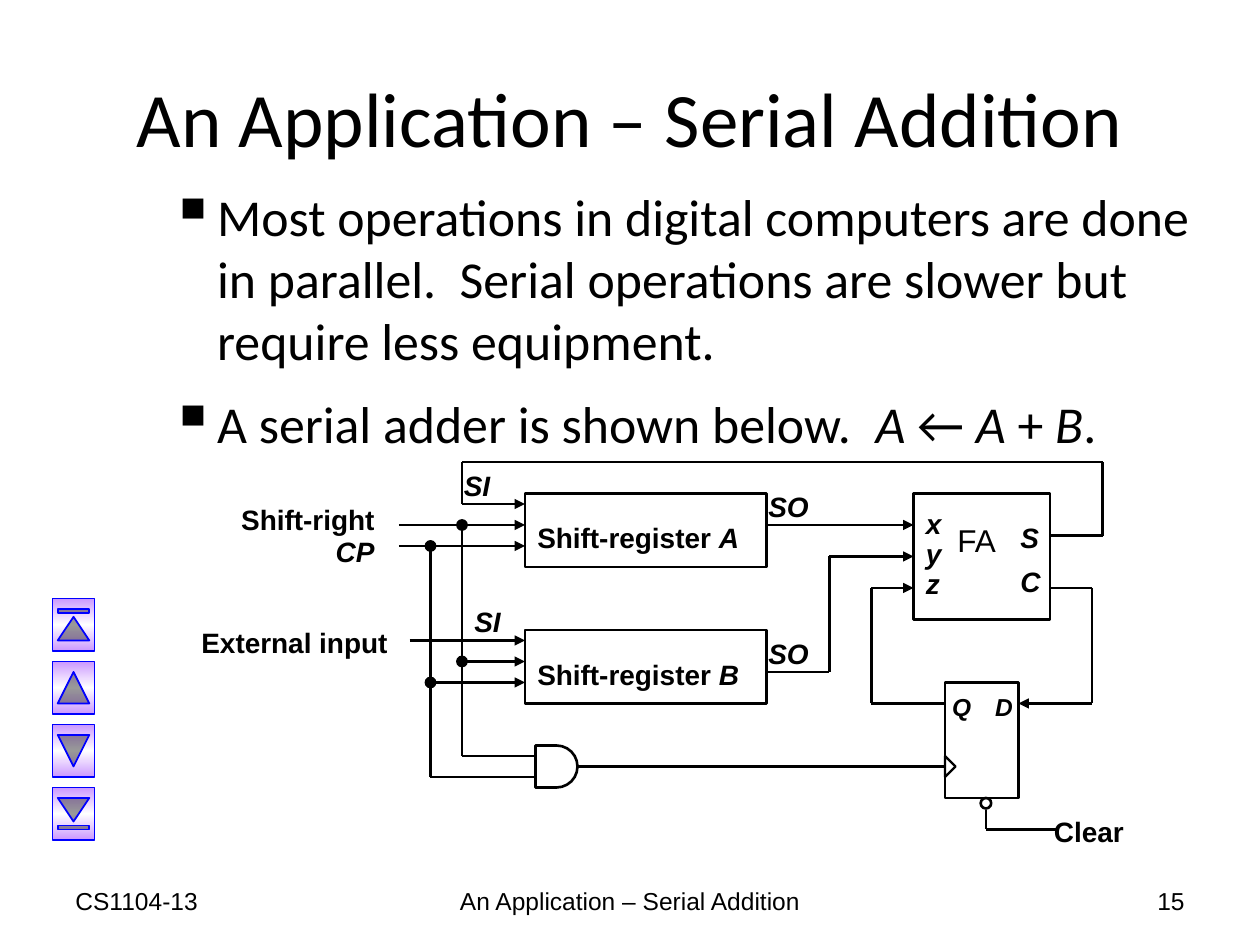
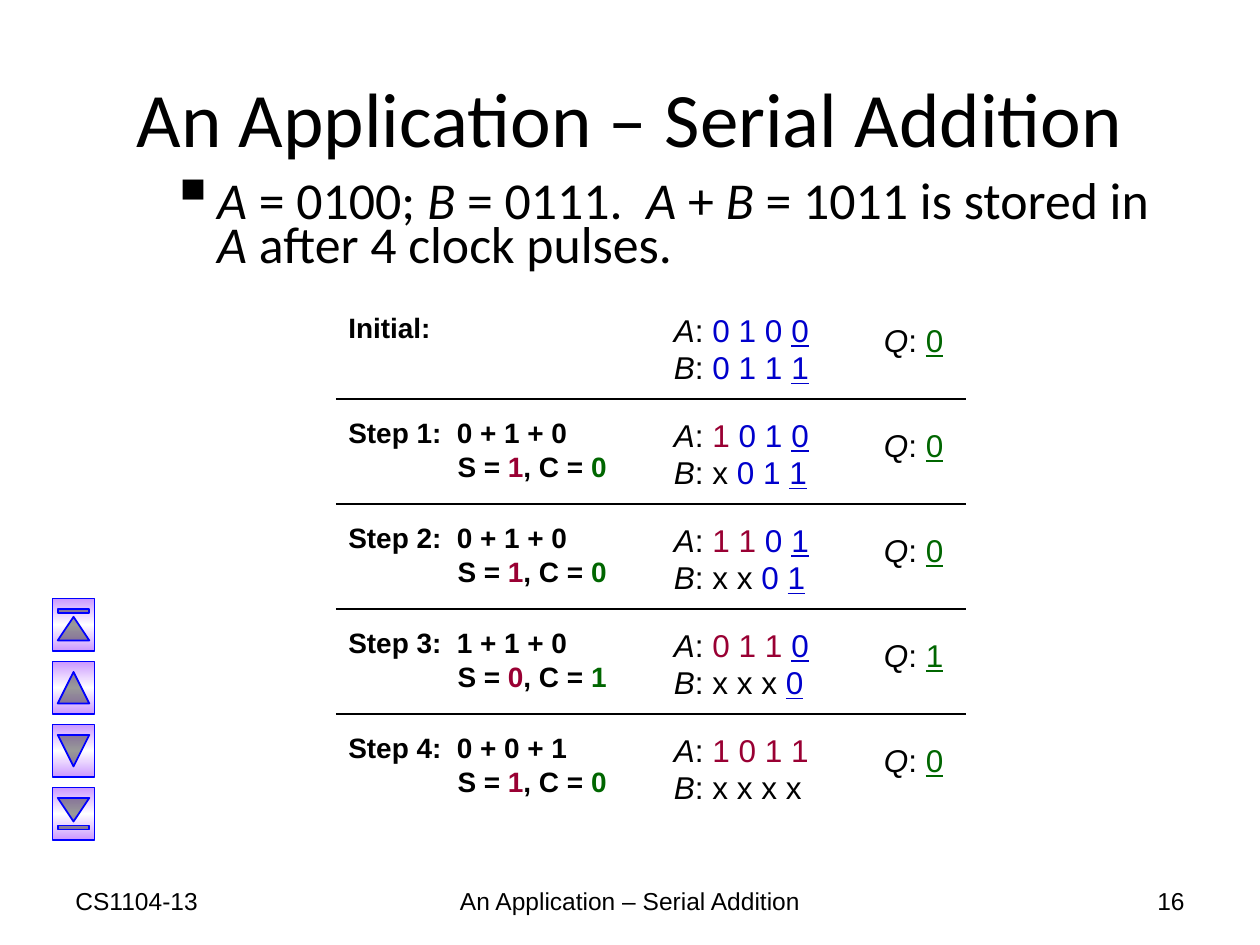
from dataclasses import dataclass
from itertools import pairwise
from typing import NamedTuple, Optional, Union

from lxml import etree
from pptx import Presentation
from pptx import util as u
from pptx.dml.color import RGBColor
from pptx.enum import shapes, text
from pptx.oxml import ns
from pptx.shapes import autoshape, connector, shapetree
from pptx.slide import Slide

EMU_PER_PX = 7620  # 120 px to the inch
Canvas = Union[shapetree.SlideShapes, shapetree.GroupShapes]
Point = tuple[int, int]
Kind = shapes.MSO_SHAPE
Align = text.PP_ALIGN


@dataclass(frozen=True)
class Theme:
    black: str = "000000"
    old_bit: str = "0000CC"
    sum_bit: str = "990033"
    carry_bit: str = "006600"
    button_edge: str = "0000FF"
    button_tint: str = "CC99FF"
    button_glow: str = "FFFFFF"
    heading_font: str = "Calibri"
    label_font: str = "Arial"
    title_size: float = 44
    body_size: float = 29.6
    value_size: float = 18
    label_size: float = 16
    small_size: float = 14
    outline: float = 1.5
    wire: float = 1.25
    thin: float = 0.75


THEME = Theme()
COURSE = "CS1104-13"
TOPIC = "An Application – Serial Addition"


class Box(NamedTuple):
    left: int
    top: int
    width: int
    height: int


class Run(NamedTuple):
    text: str
    color: str = THEME.black
    italic: bool = False
    underline: bool = False


class Label(NamedTuple):
    text: str
    box: Box
    size: float = THEME.label_size
    bold: bool = True
    line_spacing: Optional[float] = None
    space_before: float = 0


class Wire(NamedTuple):
    points: list[Point]
    arrow: bool = True
    begin: str = ""
    end: str = ""


# ---------- Drawing helpers ----------
def px(length: int) -> u.Emu:
    return u.Emu(length * EMU_PER_PX)


def add_xml(parent, tag: str, **attributes: str):
    return etree.SubElement(parent, ns.qn(tag), attributes)


def marked(line: str) -> list[Run]:
    """Split a line into runs; *asterisks* enclose italics."""
    parts = enumerate(line.split("*"))
    return [Run(part, italic=index % 2 == 1) for index, part in parts if part]


def add_text(canvas: Canvas, content: Union[str, list[list[Run]]], box: Box, *,
             size: float, font: str = THEME.label_font, bold: bool = False,
             align: Align = Align.LEFT, middle: bool = False, bullet: bool = False,
             line_spacing: Optional[float] = None, space_before: float = 0,
             later_indent: int = 0) -> None:
    lines = content
    if isinstance(content, str):
        lines = [marked(line) for line in content.split("\n")]
    frame = canvas.add_textbox(*map(px, box)).text_frame
    frame.word_wrap = True
    frame.vertical_anchor = text.MSO_ANCHOR.MIDDLE if middle else text.MSO_ANCHOR.TOP
    for index, line in enumerate(lines):
        paragraph = frame.add_paragraph() if index else frame.paragraphs[0]
        properties = paragraph._p.get_or_add_pPr()
        if bullet:
            properties.set("marL", str(px(45)))
            properties.set("indent", str(-px(45)))
            add_xml(properties, "a:buSzPct", val="120000")
            add_xml(properties, "a:buChar", char="▪")
        elif index and later_indent:
            properties.set("marL", str(px(later_indent)))
        paragraph.alignment = align
        if line_spacing:
            paragraph.line_spacing = line_spacing
        if index and space_before:
            paragraph.space_before = u.Pt(space_before)
        for piece in line:
            run = paragraph.add_run()
            run.text = piece.text
            run.font.name, run.font.size, run.font.bold = font, u.Pt(size), bold
            run.font.italic = piece.italic
            run.font.underline = piece.underline
            run.font.color.rgb = RGBColor.from_string(piece.color)


def add_outline(canvas: Canvas, kind: Kind, box: Box, width: float = THEME.outline,
                color: str = THEME.black, fill: str = "",
                rotation: int = 0) -> autoshape.Shape:
    shape = canvas.add_shape(kind, *map(px, box))
    shape.shadow.inherit = False
    shape.rotation = rotation
    shape.line.width = u.Pt(width)
    shape.line.color.rgb = RGBColor.from_string(color)
    if fill:
        shape.fill.solid()
        shape.fill.fore_color.rgb = RGBColor.from_string(fill)
    else:
        shape.fill.background()
    return shape


def add_line(canvas: Canvas, start: Point, finish: Point,
             arrow: bool = False) -> connector.Connector:
    line = canvas.add_connector(shapes.MSO_CONNECTOR.STRAIGHT,
                                *map(px, (*start, *finish)))
    line.line.width = u.Pt(THEME.wire)
    line.line.color.rgb = RGBColor.from_string(THEME.black)
    if arrow:
        add_xml(line.line._get_or_add_ln(), "a:tailEnd", type="triangle")
    add_xml(line.element.spPr, "a:effectLst")
    return line


# ---------- Parts shared by both slides ----------
NAVIGATION = [Kind.ACTION_BUTTON_BEGINNING, Kind.ACTION_BUTTON_BACK_OR_PREVIOUS,
              Kind.ACTION_BUTTON_FORWARD_OR_NEXT, Kind.ACTION_BUTTON_END]


def add_button(canvas: Canvas, kind: Kind, box: Box) -> None:
    button = add_outline(canvas, kind, box, 1, THEME.button_edge, rotation=90)
    properties = button.element.spPr
    empty_fill = properties.find(ns.qn("a:noFill"))
    gradient = etree.Element(ns.qn("a:gradFill"), rotWithShape="0")
    stops = add_xml(gradient, "a:gsLst")
    tints = (THEME.button_tint, THEME.button_glow, THEME.button_tint)
    for index, tint in enumerate(tints):
        stop = add_xml(stops, "a:gs", pos=str(index * 50000))
        add_xml(stop, "a:srgbClr", val=tint)
    add_xml(gradient, "a:lin", ang="5400000", scaled="1")
    properties.replace(empty_fill, gradient)


def add_base_slide(presentation, number: int) -> Slide:
    slide = presentation.slides.add_slide(presentation.slide_layouts[6])
    footers = [(COURSE, 60, 280, Align.LEFT), (TOPIC, 410, 380, Align.CENTER),
               (str(number), 860, 280, Align.RIGHT)]
    for words, left, width, align in footers:
        add_text(slide.shapes, words, Box(left, 834, width, 48),
                 size=THEME.small_size, align=align, middle=True)
    add_text(slide.shapes, TOPIC, Box(60, 36, 1080, 150), size=THEME.title_size,
             font=THEME.heading_font, align=Align.CENTER, middle=True)
    for index, kind in enumerate(NAVIGATION):
        add_button(slide.shapes, kind, Box(45, 575 + 60 * index, 50, 40))
    return slide


# ---------- Serial adder circuit ----------
BLOCKS = {
    "full adder": (Kind.RECTANGLE, Box(870, 470, 130, 120)),
    "register A": (Kind.RECTANGLE, Box(500, 470, 230, 70)),
    "register B": (Kind.RECTANGLE, Box(500, 600, 230, 70)),
    "flip-flop": (Kind.RECTANGLE, Box(900, 650, 70, 110)),
    "gate": (Kind.FLOWCHART_DELAY, Box(510, 710, 40, 40)),
    "clear bubble": (Kind.OVAL, Box(934, 760, 10, 10)),
}
WIRES = [
    Wire([(1000, 510), (1050, 510), (1050, 440), (440, 440), (440, 480), (500, 480)]),
    Wire([(380, 500), (500, 500)]),
    Wire([(380, 520), (500, 520)]),
    Wire([(390, 610), (500, 610)]),
    Wire([(440, 630), (500, 630)]),
    Wire([(410, 650), (500, 650)]),
    Wire([(730, 500), (870, 500)]),
    Wire([(730, 640), (790, 640), (790, 530), (870, 530)], end="full adder"),
    Wire([(900, 670), (830, 670), (830, 560), (870, 560)]),
    Wire([(1000, 560), (1040, 560), (1040, 670), (970, 670)]),
    Wire([(440, 500), (440, 720), (510, 720)], arrow=False),
    Wire([(410, 520), (410, 740), (510, 740)], arrow=False),
    Wire([(550, 730), (900, 730)], arrow=False, begin="gate"),
    Wire([(939, 771), (939, 790), (1008, 790)], arrow=False),
]
JUNCTIONS = [(440, 500), (410, 520), (440, 630), (410, 650)]
LABELS = [
    Label("FA", Box(900, 490, 70, 48), THEME.value_size, bold=False),
    Label("*x*\n*y*\n*z*", Box(870, 480, 40, 98), line_spacing=0.9),
    Label("*S*\n*C*", Box(960, 490, 40, 86), space_before=5.6),
    Label("Shift-register *A*", Box(500, 490, 230, 44)),
    Label("Shift-register *B*", Box(500, 620, 230, 44)),
    Label("Shift-right", Box(218, 473, 170, 44)),
    Label("*CP*", Box(308, 503, 70, 44)),
    Label("External input", Box(180, 590, 210, 44)),
    Label("*SI*", Box(430, 440, 60, 44)),
    Label("*SI*", Box(440, 570, 60, 44)),
    Label("*SO*", Box(720, 460, 70, 44)),
    Label("*SO*", Box(720, 600, 70, 44)),
    Label("*Q*", Box(895, 653, 46, 40), THEME.small_size),
    Label("*D*", Box(936, 653, 40, 40), THEME.small_size),
    Label("Clear", Box(992, 770, 110, 44)),
]


def add_circuit(canvas: Canvas) -> None:
    blocks = {name: add_outline(canvas, *block) for name, block in BLOCKS.items()}
    add_outline(canvas, Kind.ISOSCELES_TRIANGLE, Box(895, 725, 20, 10), THEME.wire,
                rotation=90)  # clock input
    for wire in WIRES:
        lines = [add_line(canvas, start, finish,
                          arrow=wire.arrow and finish == wire.points[-1])
                 for start, finish in pairwise(wire.points)]
        if wire.begin:
            lines[0].begin_connect(blocks[wire.begin], 3)
        if wire.end:
            lines[-1].end_connect(blocks[wire.end], 1)
    for x, y in JUNCTIONS:
        add_outline(canvas, Kind.OVAL, Box(x - 5, y - 5, 10, 10), THEME.thin,
                    fill=THEME.black)
    for label in LABELS:
        add_text(canvas, label.text, label.box, size=label.size, bold=label.bold,
                 line_spacing=label.line_spacing, space_before=label.space_before)


# ---------- Step-by-step trace ----------
def register_runs(name: str, bits: str, shifted: int, shifted_color: str) -> list[Run]:
    """Colour the bits shifted in, and underline the next bit to leave."""
    runs = [Run(name, italic=True), Run(": ")]
    for index, bit in enumerate(bits):
        color = shifted_color if index < shifted else THEME.old_bit
        last = index == len(bits) - 1
        runs.append(Run(bit, color, underline=last and shifted < len(bits)))
        if not last:
            runs.append(Run(" ", color))
    return runs


def add_trace(canvas: Canvas, a: str, b: str) -> None:
    carry = "0"
    note = [[Run("Initial:")]]
    for step in range(len(a) + 1):
        row = canvas.add_group_shape().shapes
        top = 290 + 100 * step
        if step:
            inputs = (a[-1], b[-1], carry)
            carry_value, sum_value = divmod(sum(map(int, inputs)), 2)
            carry = str(carry_value)
            a, b = f"{sum_value}{a[:-1]}", f"x{b[:-1]}"
            note = [[Run(f"Step {step}:  {' + '.join(inputs)}")],
                    [Run("S = "), Run(str(sum_value), THEME.sum_bit),
                     Run(", C = "), Run(carry, THEME.carry_bit)]]
            add_line(row, (320, top - 10), (920, top - 10))
        add_text(row, note, Box(320, top, 290, 77), size=THEME.label_size, bold=True,
                 later_indent=104)
        registers = [register_runs("A", a, step, THEME.sum_bit),
                     register_runs("B", b, step, THEME.black)]
        add_text(row, registers, Box(630, top, 160, 84), size=THEME.value_size)
        state = [Run("Q", italic=True), Run(": "),
                 Run(carry, THEME.carry_bit, underline=True)]
        add_text(row, [state], Box(830, top + 10, 90, 48), size=THEME.value_size)


def main() -> None:
    presentation = Presentation()
    presentation.slide_width, presentation.slide_height = px(1200), px(900)

    adder = add_base_slide(presentation, 15)
    add_text(adder.shapes,
             "Most operations in digital computers are done in parallel.  "
             "Serial operations are slower but require less equipment.\n"
             "A serial adder is shown below.  *A *← *A* + *B*.",
             Box(150, 170, 1020, 240), size=THEME.body_size, font=THEME.heading_font,
             bullet=True, space_before=11.8)
    add_circuit(adder.shapes.add_group_shape().shapes)

    trace = add_base_slide(presentation, 16)
    add_text(trace.shapes,
             "*A* = 0100; *B* = 0111.  *A* + *B* = 1011 is stored in *A* "
             "after 4 clock pulses.",
             Box(150, 170, 990, 100), size=THEME.body_size, font=THEME.heading_font,
             bullet=True, line_spacing=0.7)
    add_trace(trace.shapes, "0100", "0111")

    presentation.save("out.pptx")


if __name__ == "__main__":
    main()
